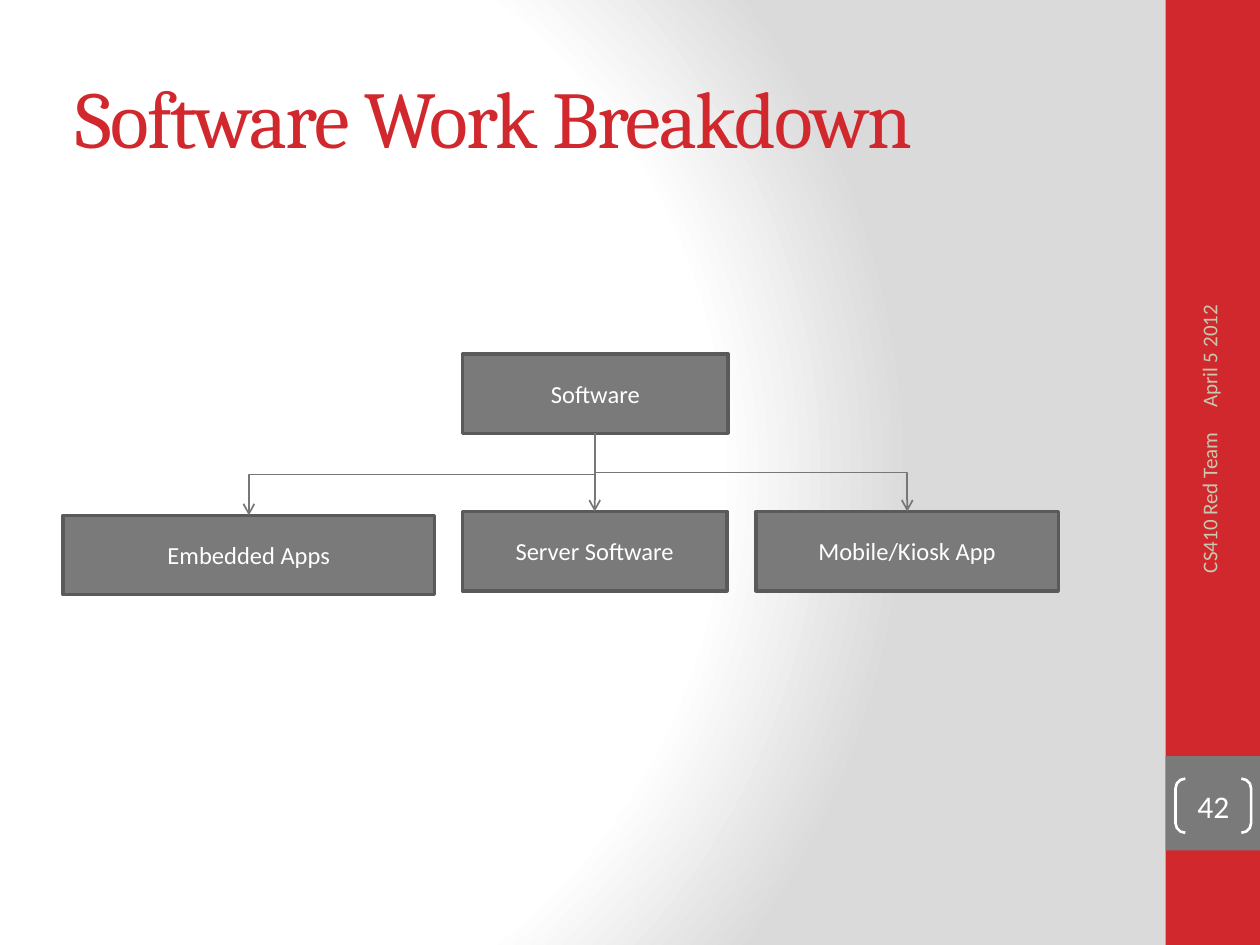
from dataclasses import dataclass

from lxml.etree import SubElement
from pptx import Presentation
from pptx.dml.color import RGBColor
from pptx.enum.shapes import MSO_CONNECTOR as Link, MSO_SHAPE as Form
from pptx.enum.text import MSO_ANCHOR as Anchor, MSO_AUTO_SIZE as Fit, PP_ALIGN as Align
from pptx.oxml import parse_xml
from pptx.oxml.ns import nsdecls, qn
from pptx.util import Inches, Pt

COLORS = {
    "red": "D1282E",
    "gray": "7A7A7A",
    "edge": "5A5A5A",
    "link": "777777",
    "sand": "C8C8B1",
    "white": "FFFFFF",
    "mist": "DADADA",
}


@dataclass
class Box:
    text: str
    left: float
    top: float
    width: float
    height: float = 0.63


@dataclass
class Side:
    """Text that runs up the side bar."""
    text: str
    left: float
    top: float
    width: float
    align: Align


ROOT = Box("Software", 3.67, 2.81, 2.11)
PARTS = [
    Box("Mobile/Kiosk App", 6, 4.06, 2.4),
    Box("Server Software", 3.67, 4.06, 2.1),
    Box("Embedded Apps", 0.5, 4.09, 2.95),
]
BARS = [
    (Box("", 9.25, 0, 0.75, 7.5), "red"),
    (Box("", 9.25, 6, 0.75, 0.75), "gray"),
]
SIDES = [
    Side("April 5 2012", 8.26, 1.8, 2.67, Align.LEFT),
    Side("CS410 Red Team", 8.3, 4.43, 2.59, Align.RIGHT),
]


def rgb(name: str) -> RGBColor:
    return RGBColor.from_string(COLORS[name])


def write(shape, text: str, size: float, color: str, align: Align, face: str = "Calibri"):
    frame = shape.text_frame
    frame.word_wrap = True
    frame.auto_size = Fit.NONE
    frame.vertical_anchor = Anchor.MIDDLE
    para = frame.paragraphs[0]
    para.alignment = align
    run = para.add_run()
    run.text = text
    run.font.size = Pt(size)
    run.font.name = face
    run.font.color.rgb = rgb(color)
    return run


def draw_form(slide, form: Form, box: Box, fill: str = "", edge: str = "", weight: float = 0):
    shape = slide.shapes.add_shape(
        form, Inches(box.left), Inches(box.top), Inches(box.width), Inches(box.height))
    shape.shadow.inherit = False
    if fill:
        shape.fill.solid()
        shape.fill.fore_color.rgb = rgb(fill)
    else:
        shape.fill.background()
    if edge:
        shape.line.color.rgb = rgb(edge)
        shape.line.width = Pt(weight)
    else:
        shape.line.fill.background()
    return shape


def draw_box(slide, box: Box):
    shape = draw_form(slide, Form.RECTANGLE, box, "gray", "edge", 2)
    write(shape, box.text, 14, "white", Align.CENTER)
    return shape


def draw_side(slide, side: Side) -> None:
    shape = slide.shapes.add_textbox(
        Inches(side.left), Inches(side.top), Inches(side.width), Inches(0.4))
    shape.rotation = 270
    write(shape, side.text, 12, "sand", side.align)


def draw_link(slide, root, part) -> None:
    """Join root's bottom to part's top with an elbow that leaves downwards."""
    x1, y1 = root.left + root.width // 2, root.top + root.height
    x2, y2 = part.left + part.width // 2, part.top
    line = slide.shapes.add_connector(Link.ELBOW, x1, y1, x2, y2)
    line.begin_connect(root, 2)
    line.end_connect(part, 0)
    line.line.color.rgb = rgb("link")
    line.line.width = Pt(1)

    # The elbow is laid out sideways, then turned about its centre.
    wide, high = y2 - y1, abs(x2 - x1)
    line.left, line.top = (x1 + x2 - wide) // 2, (y1 + y2 - high) // 2
    line.width, line.height = wide, high
    props = line._element.spPr
    xfrm = props.find(qn("a:xfrm"))
    right = x2 > x1
    xfrm.set("rot", str((270 if right else 90) * 60000))
    xfrm.set("flipH", "1" if right else "0")
    xfrm.set("flipV", "0")
    SubElement(props.find(qn("a:ln")), qn("a:tailEnd"), type="arrow")
    SubElement(props, qn("a:effectLst"))


def paint_back(slide) -> None:
    fill = slide.background.fill
    fill.solid()
    stops = "".join(
        f'<a:gs pos="{spot * 1000}"><a:srgbClr val="{COLORS[name]}"/></a:gs>'
        for spot, name in [(0, "white"), (75, "white"), (100, "mist")])
    grad = parse_xml(
        f'<a:gradFill {nsdecls("a")} rotWithShape="1"><a:gsLst>{stops}</a:gsLst>'
        '<a:path path="circle"><a:fillToRect l="20000" t="50000" r="100000" b="50000"/>'
        '</a:path></a:gradFill>')
    solid = next(slide._element.iter(qn("a:solidFill")))
    solid.getparent().replace(solid, grad)


def draw_title(slide) -> None:
    title = slide.shapes.title
    title.left, title.top = Inches(0.5), Inches(0.3)
    title.width, title.height = Inches(8.33), Inches(1.25)
    run = write(title, "Software Work Breakdown", 46, "red", Align.LEFT, "Cambria")
    run.font._element.set("spc", "-100")


def draw_number(slide) -> None:
    shape = draw_form(slide, Form.DOUBLE_BRACKET, Box("42", 9.33, 6.18, 0.6, 0.43),
                      edge="white", weight=1.5)
    shape.adjustments[0] = 0.18
    frame = shape.text_frame
    frame.margin_left = frame.margin_right = frame.margin_top = frame.margin_bottom = 0
    write(shape, "42", 18, "white", Align.CENTER)


def main() -> None:
    deck = Presentation()
    deck.slide_width, deck.slide_height = Inches(10), Inches(7.5)
    slide = deck.slides.add_slide(deck.slide_layouts[5])
    paint_back(slide)
    for bar, fill in BARS:
        draw_form(slide, Form.RECTANGLE, bar, fill)
    draw_title(slide)
    for side in SIDES:
        draw_side(slide, side)
    draw_number(slide)
    root = draw_box(slide, ROOT)
    parts = [draw_box(slide, part) for part in PARTS]
    for part in parts:
        draw_link(slide, root, part)
    deck.save("out.pptx")


if __name__ == "__main__":
    main()
